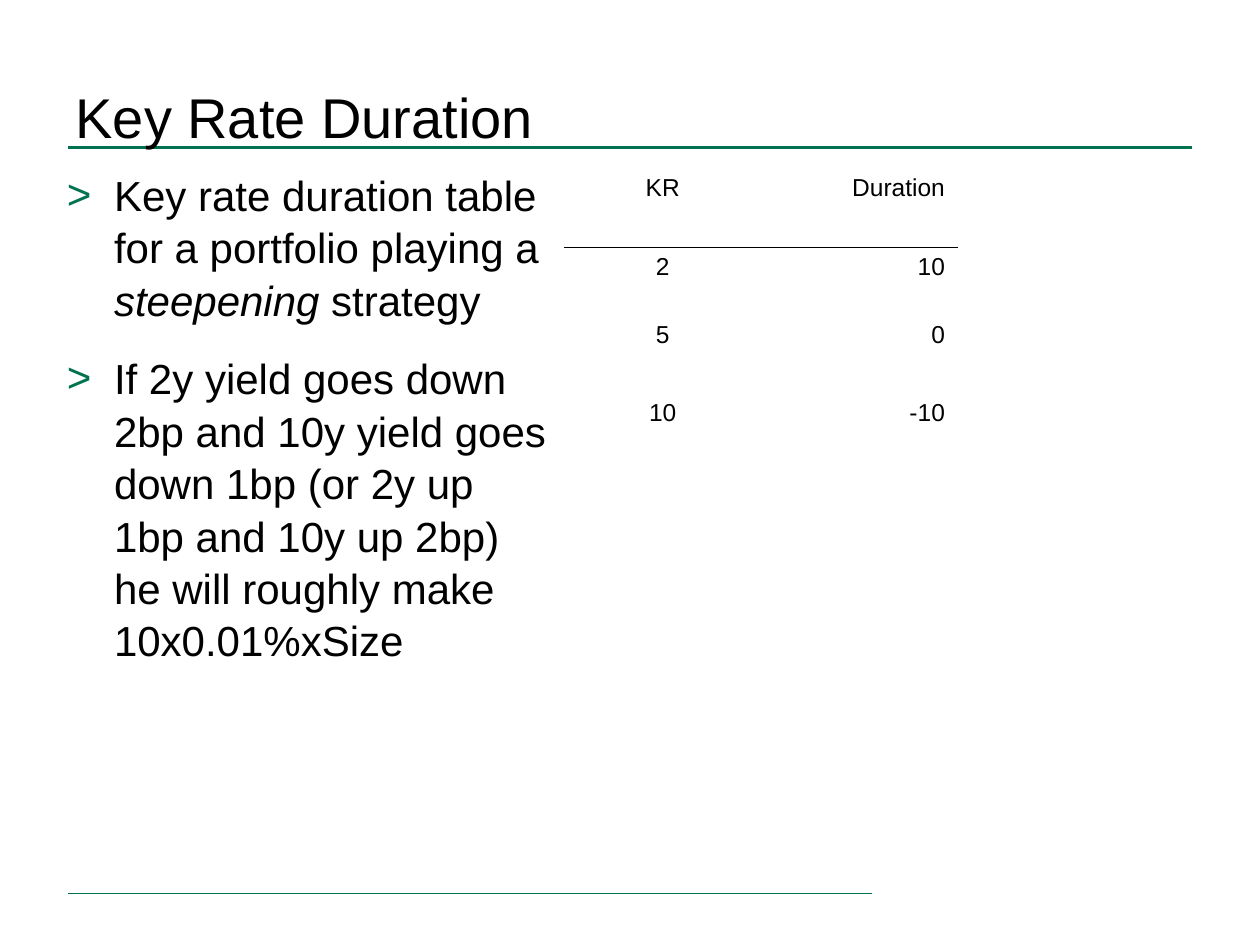
"""Build the Key Rate Duration slide."""
from typing import NamedTuple

from lxml.etree import SubElement
from pptx import Presentation
from pptx.dml.color import RGBColor
from pptx.enum.shapes import MSO_CONNECTOR as Connector
from pptx.enum.text import MSO_ANCHOR as Anchor, MSO_AUTO_SIZE as AutoSize, PP_ALIGN as Align
from pptx.oxml import parse_xml
from pptx.oxml.ns import nsdecls, qn
from pptx.util import Pt

GREEN = RGBColor(0x01, 0x72, 0x4F)
BLACK = RGBColor(0, 0, 0)
FONT = "Arial"


class Rule(NamedTuple):
    left: float
    right: float
    y: float
    width: float


class Bullet(NamedTuple):
    text: str
    emphasis: str = ""
    ending: str = ""


RULES = [Rule(38.88, 498.24, 510.48, 0.75), Rule(38.88, 681.12, 84.24, 1.5)]
BULLETS = [
    Bullet("Key rate duration table for a portfolio playing a ", "steepening", " strategy"),
    Bullet("If 2y yield goes down 2bp and 10y yield goes down 1bp (or 2y up 1bp "
           "and 10y up 2bp) he will roughly make 10x0.01%xSize"),
]
ROWS = [("KR", "Duration"), ("2", "10"), ("5", "0"), ("10", "-10")]
ROW_HEIGHTS = [45.36, 38.88, 44.64, 40.32]
COLUMN_WIDTH = 112.32
COLUMN_ALIGNS = [Align.CENTER, Align.RIGHT]


def place(shape, left: float, top: float, width: float, height: float) -> None:
    shape.left, shape.top, shape.width, shape.height = map(Pt, (left, top, width, height))


def set_font(font, size: float) -> None:
    font.name, font.size = FONT, Pt(size)
    font.color.rgb = BLACK


def set_margins(frame, left: float = 0) -> None:
    frame.margin_left = Pt(left)
    frame.margin_top = frame.margin_right = frame.margin_bottom = 0
    frame.word_wrap = True
    frame.auto_size = AutoSize.NONE


def draw_title(page, text: str) -> None:
    title = page.shapes.title
    place(title, -7.92, 37.44, 651.6, 58.32)
    frame = title.text_frame
    set_margins(frame, 51.12)
    frame.vertical_anchor = Anchor.MIDDLE
    frame.text = text
    para = frame.paragraphs[0]
    para.alignment = Align.LEFT
    set_font(para.runs[0].font, 32)


def draw_rule(page, rule: Rule) -> None:
    line = page.shapes.add_connector(
        Connector.STRAIGHT, Pt(rule.left), Pt(rule.y), Pt(rule.right), Pt(rule.y))
    line.line.color.rgb = GREEN
    line.line.width = Pt(rule.width)
    SubElement(line.element.spPr, qn("a:effectLst"))
    page.shapes.title.element.addprevious(line.element)


def add_bullet_mark(para) -> None:
    properties = para._p.get_or_add_pPr()
    properties.set("marL", str(Pt(27)))
    properties.set("indent", str(-Pt(27)))
    color = SubElement(properties, qn("a:buClr"))
    SubElement(color, qn("a:srgbClr"), val=str(GREEN))
    SubElement(properties, qn("a:buFont"), typeface=FONT)
    SubElement(properties, qn("a:buChar"), char=">")


def draw_bullets(page, bullets: list[Bullet]) -> None:
    box = page.shapes.add_textbox(Pt(38.16), Pt(95.76), Pt(274.32), Pt(338.4))
    frame = box.text_frame
    set_margins(frame)
    for index, bullet in enumerate(bullets):
        para = frame.add_paragraph() if index else frame.paragraphs[0]
        add_bullet_mark(para)
        para.line_spacing = 1.04
        if index:
            para.space_before = Pt(15)
        for text in filter(None, bullet):
            span = para.add_run()
            span.text = text
            set_font(span.font, 24)
            span.font.italic = text == bullet.emphasis


def add_border(cell, side: str) -> None:
    border = parse_xml(
        f'<a:{side} {nsdecls("a")} w="{Pt(0.45)}"><a:solidFill>'
        f'<a:srgbClr val="{BLACK}"/></a:solidFill></a:{side}>')
    cell._tc.get_or_add_tcPr().insert(0, border)


def draw_table(page) -> None:
    frame = page.shapes.add_table(
        len(ROWS), len(COLUMN_ALIGNS), Pt(322.56), Pt(95.76),
        Pt(COLUMN_WIDTH * len(COLUMN_ALIGNS)), Pt(sum(ROW_HEIGHTS)))
    table = frame.table
    table.first_row = table.horz_banding = False
    for column in table.columns:
        column.width = Pt(COLUMN_WIDTH)
    for row_index, (values, height) in enumerate(zip(ROWS, ROW_HEIGHTS)):
        table.rows[row_index].height = Pt(height)
        for column_index, (value, align) in enumerate(zip(values, COLUMN_ALIGNS)):
            cell = table.cell(row_index, column_index)
            cell.fill.background()
            cell.text_frame.text = value
            para = cell.text_frame.paragraphs[0]
            para.alignment = align
            set_font(para.runs[0].font, 14)
            if row_index < 2:
                add_border(cell, "lnT" if row_index else "lnB")


def main() -> None:
    deck = Presentation()
    deck.slide_width, deck.slide_height = Pt(720), Pt(540)
    page = deck.slides.add_slide(deck.slide_layouts[5])
    draw_title(page, "Key Rate Duration")
    for rule in RULES:
        draw_rule(page, rule)
    draw_bullets(page, BULLETS)
    draw_table(page)
    deck.save("out.pptx")


if __name__ == "__main__":
    main()
